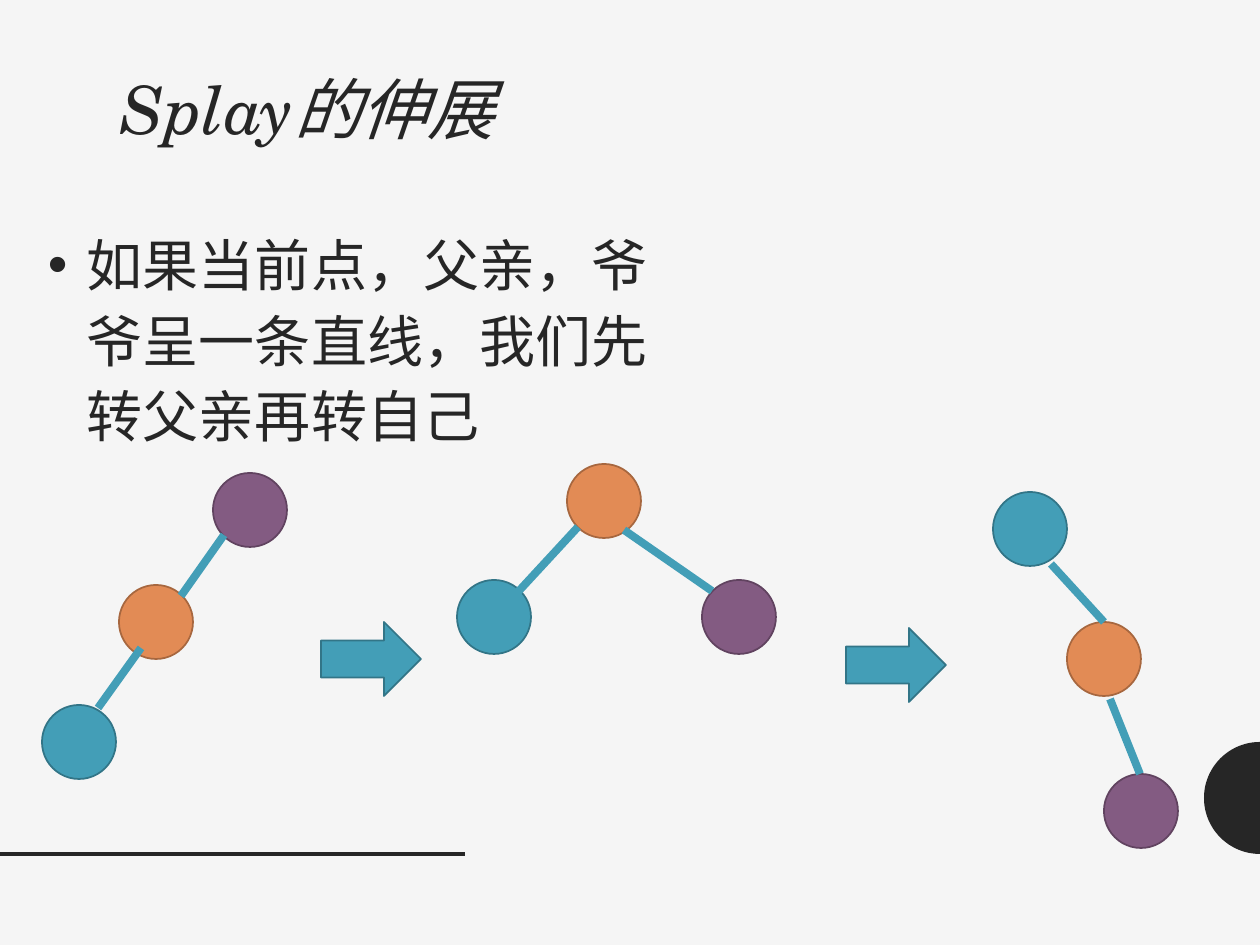
from lxml import etree
from pptx import Presentation
from pptx.dml.color import RGBColor
from pptx.enum.shapes import MSO_CONNECTOR, MSO_SHAPE
from pptx.enum.text import MSO_ANCHOR, PP_ALIGN
from pptx.oxml.ns import qn
from pptx.util import Pt

EMU_PER_PX = 914400 / 126
OVAL, ARROW = MSO_SHAPE.OVAL, MSO_SHAPE.RIGHT_ARROW
STRAIGHT = MSO_CONNECTOR.STRAIGHT
LEFT, RIGHT = PP_ALIGN.LEFT, PP_ALIGN.RIGHT
TOP = MSO_ANCHOR.TOP
INK, PAPER = "262626", "F5F5F5"
TEAL, ORANGE, PURPLE = ("439EB7", "327587"), ("E28B55", "A7673F"), ("835B82", "614360")
SERIF, SANS = "TeX Gyre Schola", "Noto Sans CJK SC"
NODE_SIZE = 74


def px(length):
    return round(length * EMU_PER_PX)


def color(value):
    return RGBColor.from_string(value)


def write_text(frame, text, font=SANS, size=32, italic=False, align=LEFT,
               line_spacing=None, bullet_indent=0):
    paragraph = frame.paragraphs[0]
    paragraph.alignment = align
    paragraph.line_spacing = line_spacing
    if bullet_indent:
        properties = paragraph._p.get_or_add_pPr()
        properties.set("marL", str(px(bullet_indent)))
        properties.set("indent", str(-px(bullet_indent)))
        etree.SubElement(properties, qn("a:buFont")).set("typeface", "Arial")
        etree.SubElement(properties, qn("a:buChar")).set("char", "•")
    run = paragraph.add_run()
    run.text = text
    run.font.name = font
    run.font.size = Pt(size)
    run.font.italic = italic
    run.font.color.rgb = color(INK)
    etree.SubElement(run._r.get_or_add_rPr(), qn("a:ea")).set("typeface", SANS)


class SlideBuilder:
    def __init__(self, presentation):
        self.slide = presentation.slides.add_slide(presentation.slide_layouts[6])
        fill = self.slide.background.fill
        fill.solid()
        fill.fore_color.rgb = color(PAPER)

    def text(self, left, top, width, height, text, inset=0, **style):
        shape = self.slide.shapes.add_textbox(px(left), px(top), px(width), px(height))
        frame = shape.text_frame
        frame.word_wrap = True
        frame.vertical_anchor = TOP
        frame.margin_left = frame.margin_right = px(inset)
        frame.margin_top = frame.margin_bottom = 0
        write_text(frame, text, **style)

    def paint(self, shape, fill, outline=None):
        shape.shadow.inherit = False
        shape.fill.solid()
        shape.fill.fore_color.rgb = color(fill)
        if outline:
            shape.line.color.rgb = color(outline)
            shape.line.width = Pt(1)
        else:
            shape.line.fill.background()

    def node(self, left, top, colors):
        shape = self.slide.shapes.add_shape(OVAL, px(left), px(top), px(NODE_SIZE), px(NODE_SIZE))
        self.paint(shape, *colors)

    def arrow(self, left, top):
        shape = self.slide.shapes.add_shape(ARROW, px(left), px(top), px(100), px(74))
        self.paint(shape, *TEAL)

    def line(self, x1, y1, x2, y2, stroke=TEAL[0], width=4.5):
        connector = self.slide.shapes.add_connector(STRAIGHT, px(x1), px(y1), px(x2), px(y2))
        connector.line.color.rgb = color(stroke)
        connector.line.width = Pt(width)
        etree.SubElement(connector._element.spPr, qn("a:effectLst"))

    def half_disc(self, right, middle, radius):
        kappa = 0.5523 * radius
        curves = [
            ((right, middle + radius), (right - kappa, middle + radius),
             (right - radius, middle + kappa), (right - radius, middle)),
            ((right - radius, middle), (right - radius, middle - kappa),
             (right - kappa, middle - radius), (right, middle - radius)),
        ]
        points = []
        for curve in curves:
            for step in range(25):
                t = step / 24
                weights = ((1 - t) ** 3, 3 * t * (1 - t) ** 2, 3 * t * t * (1 - t), t ** 3)
                points.append(tuple(px(sum(w * p[axis] for w, p in zip(weights, curve)))
                                    for axis in (0, 1)))
        builder = self.slide.shapes.build_freeform(*points[0], scale=1.0)
        builder.add_line_segments(points[1:], close=True)
        self.paint(builder.convert_to_shape(), INK)


def main():
    presentation = Presentation()
    presentation.slide_width, presentation.slide_height = px(1260), px(945)
    builder = SlideBuilder(presentation)

    builder.half_disc(1260, 798, 56)
    builder.line(0, 854, 465, 854, stroke=INK, width=2)
    builder.text(78, 77, 416, 683, "Splay的伸展", font=SERIF, size=38, italic=True,
                 align=RIGHT, line_spacing=0.9)
    builder.text(35, 222, 645, 504, "如果当前点，父亲，爷爷呈一条直线，我们先转父亲再转自己",
                 inset=13, line_spacing=Pt(43.25), bullet_indent=39)

    trees = [
        ((42, 705), (119, 585), (213, 473)),
        ((457, 580), (567, 464), (702, 580)),
        ((993, 492), (1067, 622), (1104, 774)),
    ]
    for tree in trees:
        for position, colors in zip(tree, (TEAL, ORANGE, PURPLE)):
            builder.node(*position, colors)

    for position in ((321, 622), (846, 628)):
        builder.arrow(*position)

    edges = [
        (224, 535, 181, 596), (141, 648, 98, 708),
        (578, 527, 517, 593), (624, 530, 712, 591),
        (1051, 564, 1104, 622), (1110, 699, 1140, 774),
    ]
    for edge in edges:
        builder.line(*edge)

    presentation.save("out.pptx")


if __name__ == "__main__":
    main()
